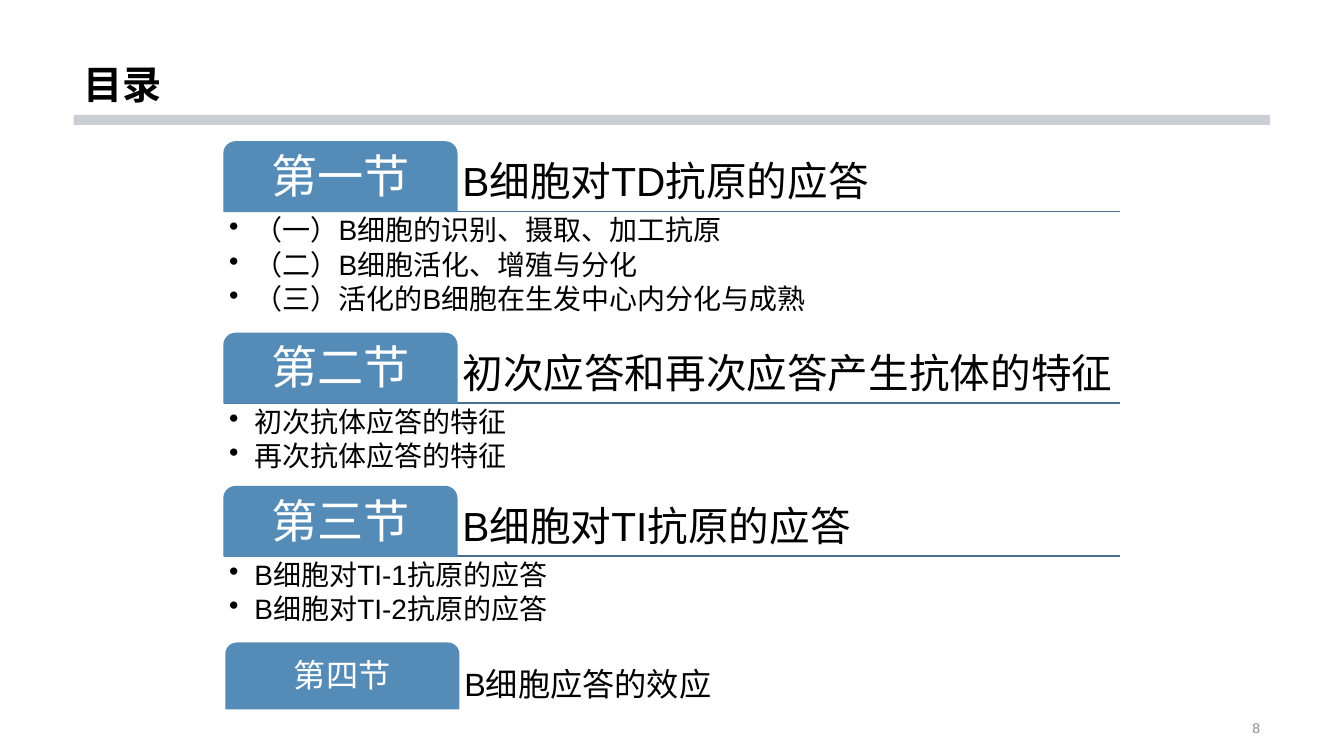
from dataclasses import dataclass

from lxml.etree import SubElement
from pptx import Presentation
from pptx.dml.color import RGBColor
from pptx.enum.shapes import MSO_CONNECTOR, MSO_SHAPE
from pptx.enum.text import MSO_ANCHOR, PP_ALIGN
from pptx.oxml.ns import qn
from pptx.util import Pt

TITLE = "目录"
PAGE_NUMBER = "8"
# label, heading, points, top of the tab
SECTIONS = [
    ("第一节", "B细胞对TD抗原的应答", [
        "（一）B细胞的识别、摄取、加工抗原",
        "（二）B细胞活化、增殖与分化",
        "（三）活化的B细胞在生发中心内分化与成熟",
    ], 101.4),
    ("第二节", "初次应答和再次应答产生抗体的特征", [
        "初次抗体应答的特征",
        "再次抗体应答的特征",
    ], 238.2),
    ("第三节", "B细胞对TI抗原的应答", [
        "B细胞对TI-1抗原的应答",
        "B细胞对TI-2抗原的应答",
    ], 347.6),
]
LAST_SECTION = ("第四节", "B细胞应答的效应", 459.4)


@dataclass(frozen=True)
class Theme:
    font: str = "Arial"
    black: RGBColor = RGBColor(0, 0, 0)
    white: RGBColor = RGBColor(255, 255, 255)
    grey: RGBColor = RGBColor(0x8C, 0x8C, 0x8C)
    bar: RGBColor = RGBColor(0xC9, 0xCE, 0xD5)
    tab: RGBColor = RGBColor(0x54, 0x8B, 0xB7)
    rule: RGBColor = RGBColor(0x43, 0x6F, 0x93)
    title: int = 28
    label: int = 33
    heading: int = 29
    point: int = 20
    small: int = 23
    number: int = 10


THEME = Theme()
MARGIN, BAR_WIDTH = 52.6, 854.6
LEFT, WIDTH = 160, 640
TAB_WIDTH, TAB_HEIGHT = 166.3, 49.6
LAST_LEFT, LAST_HEIGHT = 161.4, 46.8


def write(shape, lines, size, color, anchor=MSO_ANCHOR.TOP,
          align=PP_ALIGN.LEFT, inset=None, after=0, bold=False):
    frame = shape.text_frame
    frame.word_wrap = True
    frame.vertical_anchor = anchor
    if inset is not None:
        frame.margin_left = frame.margin_right = Pt(inset)
        frame.margin_top = frame.margin_bottom = Pt(inset)
    frame.text = "\n".join(lines)
    for para in frame.paragraphs:
        para.alignment = align
        para.line_spacing = 0.9
        para.space_after = Pt(after)
        para.font.name = THEME.font
        para.font.size = Pt(size)
        para.font.bold = bold
        para.font.color.rgb = color
    return frame


def add_box(page, left, top, width, height):
    return page.shapes.add_textbox(Pt(left), Pt(top), Pt(width), Pt(height))


def add_filled(page, kind, left, top, width, height, color):
    shape = page.shapes.add_shape(kind, Pt(left), Pt(top), Pt(width), Pt(height))
    shape.shadow.inherit = False
    shape.fill.solid()
    shape.fill.fore_color.rgb = color
    shape.line.fill.background()
    return shape


def add_rule(page, y):
    rule = page.shapes.add_connector(
        MSO_CONNECTOR.STRAIGHT, Pt(LEFT), Pt(y), Pt(LEFT + WIDTH), Pt(y))
    rule.line.color.rgb = THEME.rule
    rule.line.width = Pt(1)
    SubElement(rule._element.spPr, qn("a:effectLst"))


def add_header(page, label, heading, left, top, height, label_size, heading_size):
    """Add a section's tab and the heading to its right."""
    heading_box = add_box(page, left + TAB_WIDTH, top, WIDTH - TAB_WIDTH, height)
    write(heading_box, [heading], heading_size, THEME.black, MSO_ANCHOR.BOTTOM, inset=4)
    tab = add_filled(page, MSO_SHAPE.ROUND_2_SAME_RECTANGLE,
                     left, top, TAB_WIDTH, height, THEME.tab)
    tab.line.color.rgb = THEME.tab
    tab.line.width = Pt(1)
    write(tab, [label], label_size, THEME.white, MSO_ANCHOR.MIDDLE,
          PP_ALIGN.CENTER, inset=4)


def add_points(page, points, top):
    box = add_box(page, LEFT, top, WIDTH, 8 + 25 * len(points))
    frame = write(box, points, THEME.point, THEME.black, inset=3.75, after=3)
    for para in frame.paragraphs:
        properties = para._p.get_or_add_pPr()
        properties.set("marL", str(Pt(18)))
        properties.set("indent", str(-Pt(18)))
        bullet = SubElement(properties, qn("a:buChar"))
        bullet.set("char", "•")
        # The schema wants the bullet ahead of the default run properties.
        properties.find(qn("a:defRPr")).addprevious(bullet)


def main():
    deck = Presentation()
    deck.slide_width, deck.slide_height = Pt(960), Pt(540)
    page = deck.slides.add_slide(deck.slide_layouts[5])

    title = page.shapes.title
    title.left, title.top = Pt(MARGIN), Pt(0)
    title.width, title.height = Pt(BAR_WIDTH), Pt(80.6)
    write(title, [TITLE], THEME.title, THEME.black, MSO_ANCHOR.BOTTOM, bold=True)
    add_filled(page, MSO_SHAPE.RECTANGLE, MARGIN, 82.1, BAR_WIDTH, 7.2, THEME.bar)

    for label, heading, points, top in SECTIONS:
        add_rule(page, top + TAB_HEIGHT)
        add_header(page, label, heading, LEFT, top, TAB_HEIGHT,
                   THEME.label, THEME.heading)
        add_points(page, points, top + TAB_HEIGHT)

    label, heading, top = LAST_SECTION
    add_header(page, label, heading, LAST_LEFT, top, LAST_HEIGHT,
               THEME.small, THEME.small)

    number = add_box(page, 678.2, 512.6, 229, 16.6)
    write(number, [PAGE_NUMBER], THEME.number, THEME.grey,
          MSO_ANCHOR.MIDDLE, PP_ALIGN.RIGHT)

    deck.save("out.pptx")


if __name__ == "__main__":
    main()
